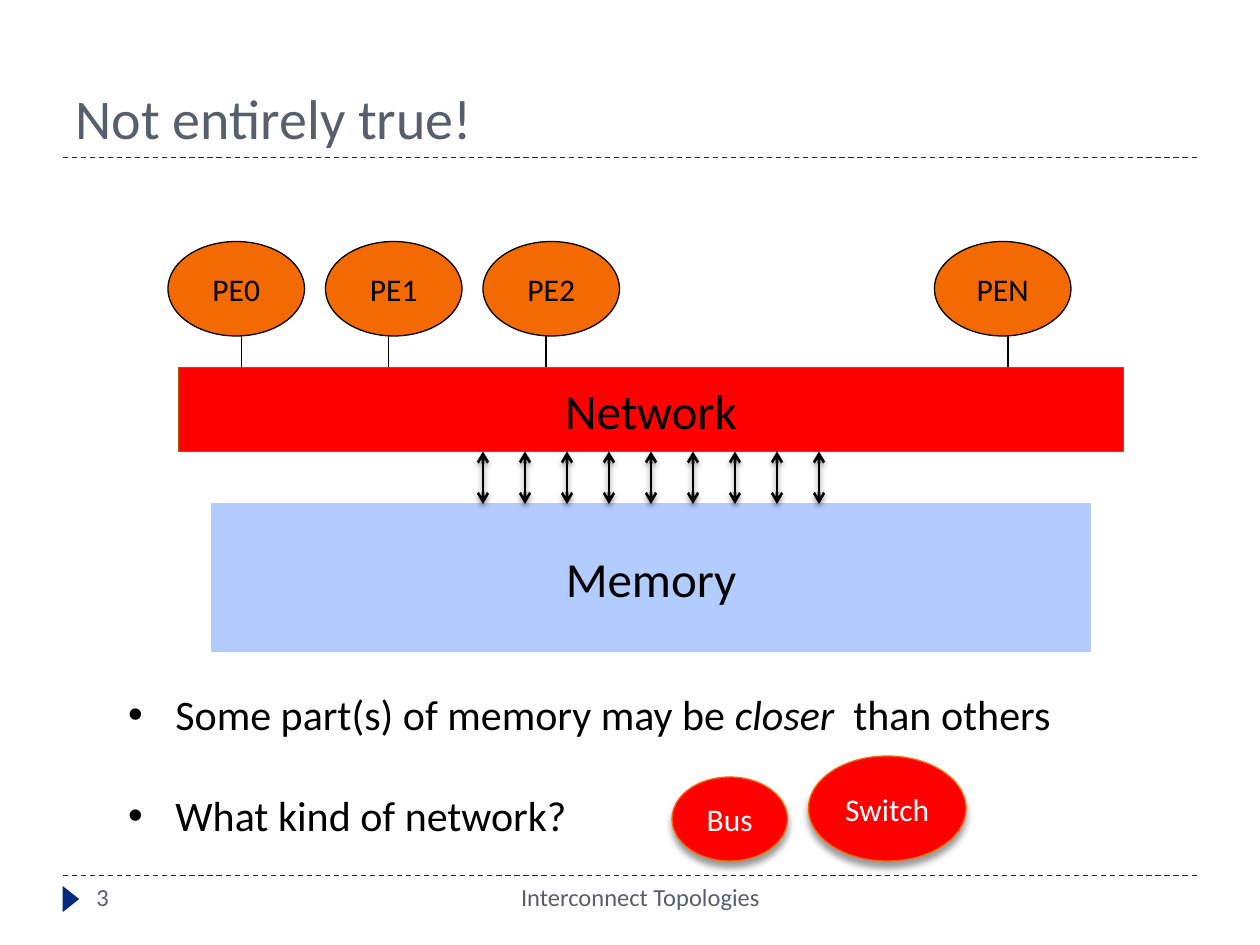
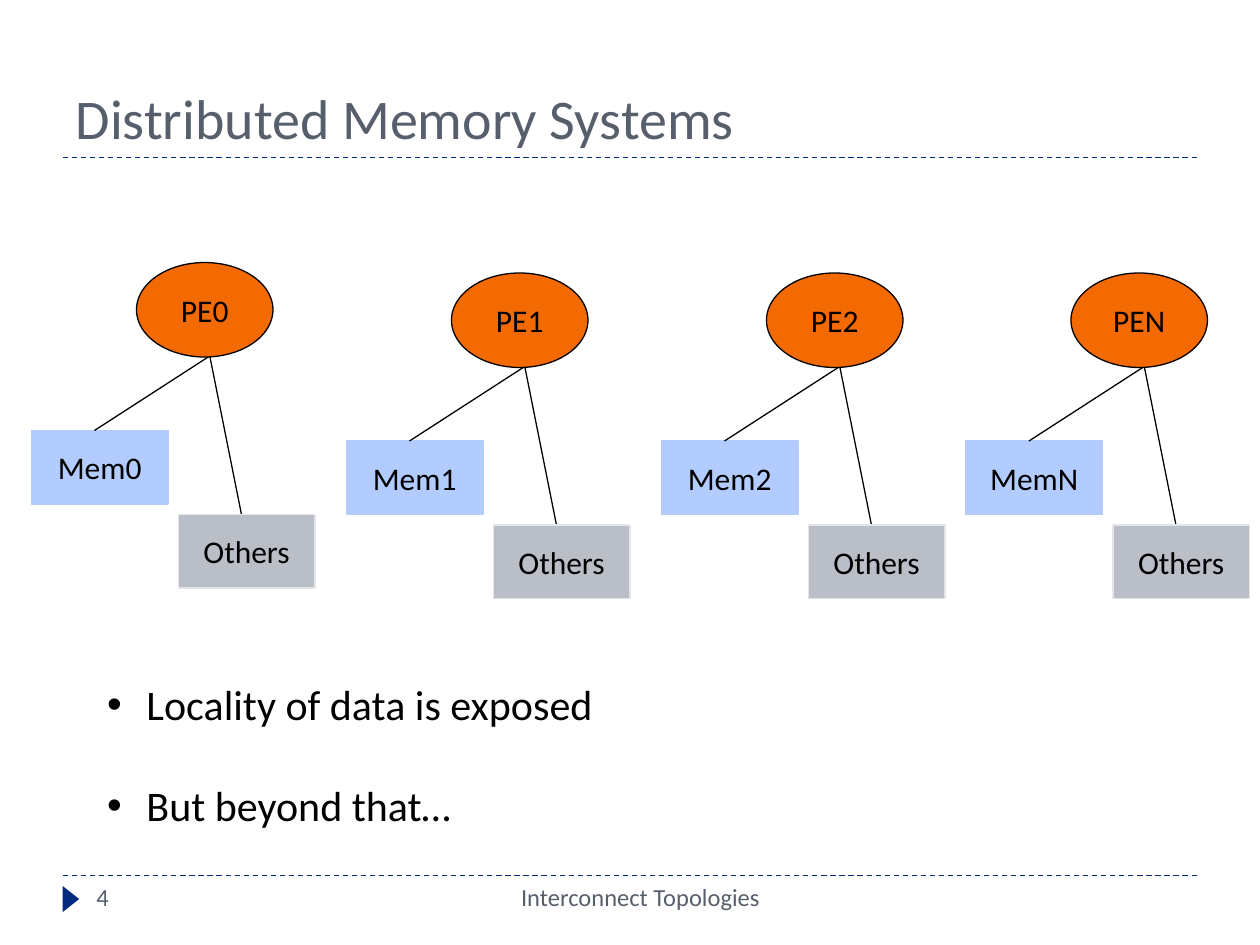
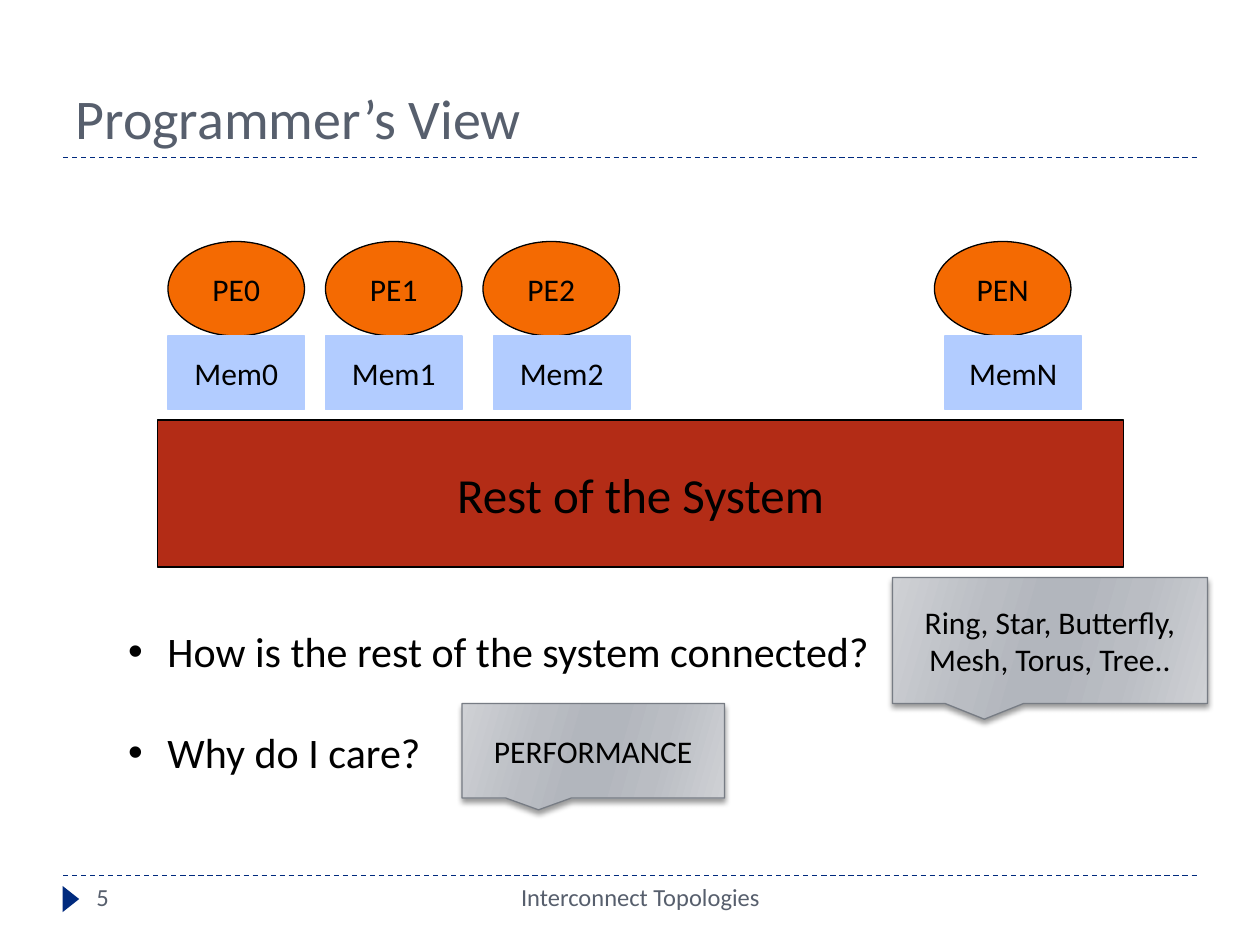
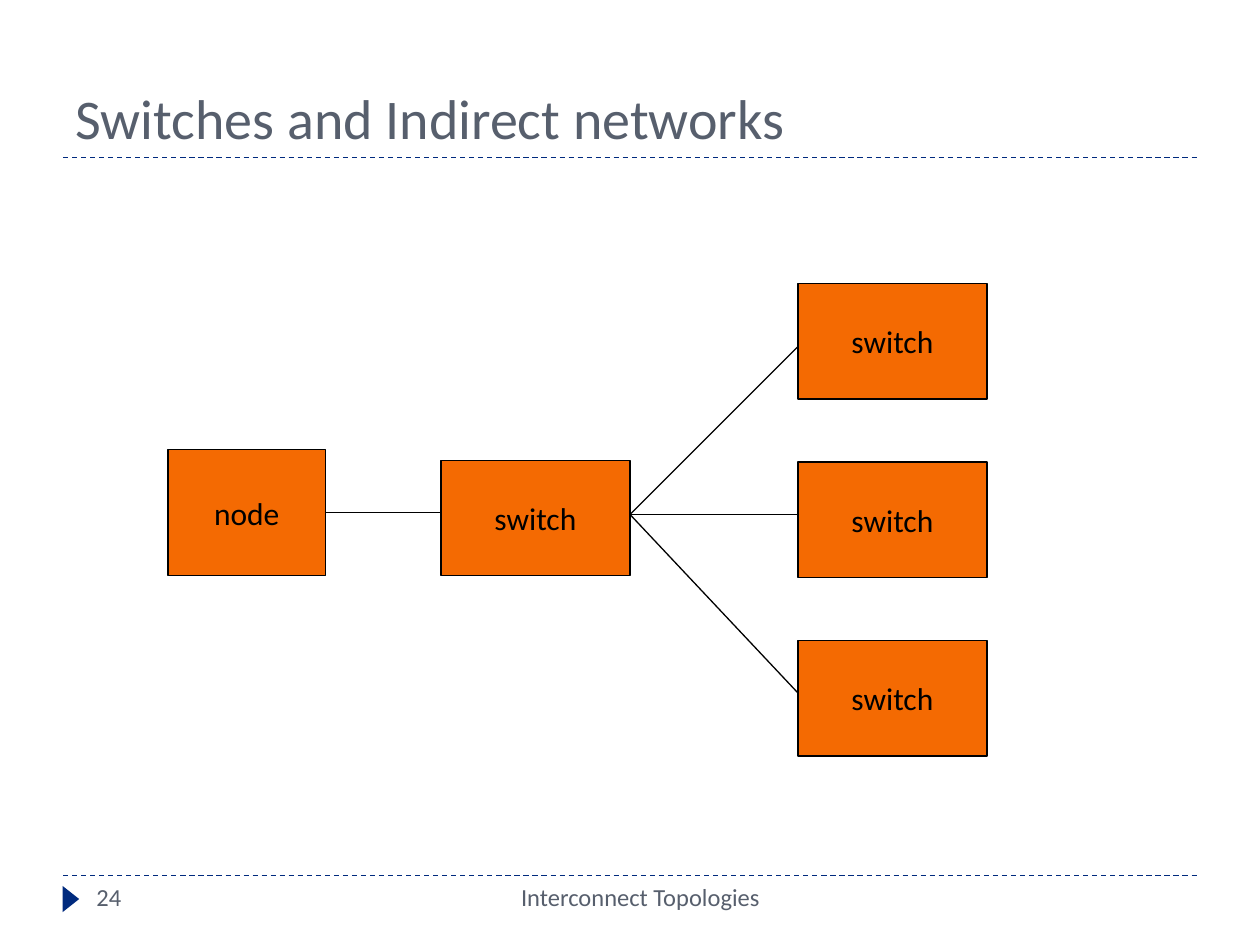
import pptx
import pptx.dml.color
import pptx.enum.dml
import pptx.enum.shapes
import pptx.enum.text
import pptx.oxml.ns
import pptx.util
from lxml import etree

Pt = pptx.util.Pt
qn = pptx.oxml.ns.qn
KIND = pptx.enum.shapes.MSO_SHAPE
ALIGN = pptx.enum.text.PP_ALIGN
ANCHOR = pptx.enum.text.MSO_ANCHOR

FONT = "Calibri"
COLORS = {
    "rule": "002A7E", "heading": "575F6D", "black": "000000",
    "white": "FFFFFF", "orange": "F46A02", "memory": "B2CCFF",
    "red": "FF0000", "network_edge": "B75001", "system": "B32C16",
    "others": "B9BEC7", "others_edge": "E4E5E6", "callout_edge": "777C84",
    "silver": "CFD1D5", "gray": "BABDC3", "steel": "B2B6BD",
}
CALLOUT_STOPS = [(0, "silver"), (30, "gray"), (45, "steel"),
                 (55, "steel"), (73, "gray"), (100, "silver")]
NAMES = ["0", "1", "2", "N"]
PE_LEFTS = [96, 186, 276, 534]
PE_TOP = 138


def rgb(name):
    return pptx.dml.color.RGBColor.from_string(COLORS[name])


def add_node(parent, tag, **attributes):
    return etree.SubElement(parent, qn(tag), attributes)


def add_shadow(effects, blur, distance):
    """Cast a soft black shadow straight down."""
    shadow = add_node(effects, "a:outerShdw", blurRad=str(Pt(blur)),
                      dist=str(Pt(distance)), dir="5400000", rotWithShape="0")
    color = add_node(shadow, "a:srgbClr", val=COLORS["black"])
    add_node(color, "a:alpha", val="40000")


class Lecture:
    """The deck, its style and the slide being filled."""

    def __init__(self):
        self.deck = pptx.Presentation()
        self.deck.slide_width, self.deck.slide_height = Pt(720), Pt(540)
        self.page = None

    # Slides and their shared parts
    def start(self, title, number, has_list=True):
        layout = self.deck.slide_layouts[1 if has_list else 5]
        is_first = self.page is None
        self.page = self.deck.slides.add_slide(layout)
        if is_first:
            self.decorate_master()
        box = self.page.shapes.title
        self.place(box, 36, 18, 648, 72)
        box.text_frame.text = title
        box.text_frame.vertical_anchor = ANCHOR.BOTTOM
        self.format(box.text_frame, 32, "heading", ALIGN.LEFT)
        self.text(48, 156, number, ALIGN.LEFT)
        self.text(228, 276, "Interconnect Topologies", ALIGN.CENTER)

    def decorate_master(self):
        """Draw the rules and the marker once and hand them to the master."""
        parts = [self.line(36, y, 684, y, "rule", dashed=True)
                 for y in (500.4, 90)]
        marker = self.shape(KIND.ISOSCELES_TRIANGLE, 33, 509, 15, 9.5, "rule")
        marker.rotation = 90
        for index, part in enumerate(parts + [marker]):
            part.element.xpath(".//p:cNvPr")[0].set("id", str(101 + index))
            self.deck.slide_master.shapes.element.append(part.element)

    # Text
    def place(self, box, left, top, width, height):
        box.left, box.top = Pt(left), Pt(top)
        box.width, box.height = Pt(width), Pt(height)
        box.text_frame.word_wrap = True
        box.text_frame.auto_size = pptx.enum.text.MSO_AUTO_SIZE.NONE

    def format(self, frame, size, color, align):
        for para in frame.paragraphs:
            para.alignment = align
            for span in para.runs:
                span.font.name = FONT
                span.font.size = Pt(size)
                span.font.color.rgb = rgb(color)

    def text(self, left, width, words, align):
        """Footer text."""
        box = self.page.shapes.add_textbox(Pt(left), Pt(500.4), Pt(width), Pt(29))
        box.text_frame.word_wrap = True
        box.text_frame.text = words
        self.format(box.text_frame, 14, "heading", align)

    def bullets(self, left, top, width, items, indent=22.5):
        """Each item is a list of spans; every second span is italic."""
        box = self.page.placeholders[1]
        self.place(box, left, top, width, 94)
        frame = box.text_frame
        for index, spans in enumerate(items):
            para = frame.paragraphs[0] if index == 0 else frame.add_paragraph()
            para.space_before = Pt(29 if index else 0)
            properties = para._p.get_or_add_pPr()
            properties.set("marL", str(Pt(indent)))
            properties.set("indent", str(-Pt(indent)))
            add_node(properties, "a:buFont", typeface="Arial")
            add_node(properties, "a:buChar", char="•")
            for position, words in enumerate(spans):
                span = para.add_run()
                span.text = words
                span.font.italic = position % 2 == 1
        self.format(frame, 24, "black", ALIGN.LEFT)

    # Shapes and lines
    def shape(self, kind, left, top, width, height, fill, edge=None, words="",
              size=18, color="black", wrap=False, shadow=None):
        shape = self.page.shapes.add_shape(
            kind, Pt(left), Pt(top), Pt(width), Pt(height))
        shape.shadow.inherit = False
        shape.fill.solid()
        shape.fill.fore_color.rgb = rgb(fill)
        if edge:
            shape.line.color.rgb = rgb(edge)
            shape.line.width = Pt(0.75)
        else:
            shape.line.fill.background()
        if shadow:
            add_shadow(shape.element.spPr.find(qn("a:effectLst")), *shadow)
        if words:
            frame = shape.text_frame
            frame.text = words
            frame.word_wrap = wrap
            frame.vertical_anchor = ANCHOR.MIDDLE
            self.format(frame, size, color, ALIGN.CENTER)
        return shape

    def line(self, x1, y1, x2, y2, color="black", dashed=False, arrows=False):
        line = self.page.shapes.add_connector(
            pptx.enum.shapes.MSO_CONNECTOR.STRAIGHT,
            Pt(x1), Pt(y1), Pt(x2), Pt(y2))
        line.line.color.rgb = rgb(color)
        line.line.width = Pt(1.5 if arrows else 0.75)
        if dashed:
            line.line.dash_style = pptx.enum.dml.MSO_LINE.DASH
        properties = line.element.spPr
        effects = add_node(properties, "a:effectLst")
        if arrows:
            for end in ("a:headEnd", "a:tailEnd"):
                add_node(properties.find(qn("a:ln")), end, type="arrow")
            add_shadow(effects, 3, 2)
        return line

    def processor(self, left, top, name):
        self.shape(KIND.OVAL, left, top, 78, 54, "orange", "black", "PE" + name)

    def processor_row(self):
        for left, name in zip(PE_LEFTS, NAMES):
            self.processor(left, PE_TOP, name)

    def memory(self, left, top, name):
        self.shape(KIND.RECTANGLE, left, top, 78, 42, "memory", "memory",
                   "Mem" + name)

    def switch(self, left, top):
        self.shape(KIND.RECTANGLE, left, top, 108, 66, "orange", "black", "switch")

    def oval(self, left, top, width, height, words):
        self.shape(KIND.OVAL, left, top, width, height, "red", "orange", words,
                   color="white", wrap=True, shadow=(4, 3.4))

    def callout(self, left, top, width, height, words):
        shape = self.shape(KIND.RECTANGULAR_CALLOUT, left, top, width, height,
                           "gray", "callout_edge", words, wrap=True,
                           shadow=(3, 2))
        shape.fill.gradient()
        shape.fill.gradient_angle = 344
        stops = shape.element.spPr.xpath(".//a:gsLst")[0]
        for stop in list(stops):
            stops.remove(stop)
        for percent, color in CALLOUT_STOPS:
            stop = add_node(stops, "a:gs", pos=str(percent * 1000))
            add_node(stop, "a:srgbClr", val=COLORS[color])


def shared_memory(lecture):
    lecture.start("Not entirely true!", "3")
    lecture.bullets(66, 390, 588, [
        ["Some part(s) of memory may be ", "closer ", " than others"],
        ["What kind of network?"]], indent=27)
    lecture.processor_row()
    for x in (138, 222, 312, 576):
        lecture.line(x, PE_TOP + 54, x, 234)
    lecture.shape(KIND.RECTANGLE, 121, 288, 502, 84, "memory", "memory",
                  "Memory", size=28)
    lecture.shape(KIND.RECTANGLE, 102, 210, 540, 48, "red", "network_edge",
                  "Network", size=28)
    for index in range(9):
        x = 276 + 24 * index
        lecture.line(x, 258, x, 288, arrows=True)
    lecture.oval(384, 444, 66, 48, "Bus")
    lecture.oval(462, 432, 90, 60, "Switch")


def distributed_memory(lecture):
    lecture.start("Distributed Memory Systems", "4")
    lecture.bullets(54, 384, 606, [["Locality of data is exposed"],
                                   ["But beyond that…"]])
    corners = [(78, 150), (258, 156), (438, 156), (612, 156)]
    for (left, top), name in zip(corners, NAMES):
        lecture.processor(left, top, name)
        lecture.memory(left - 60, top + 96, name)
        lecture.line(left + 41, top + 54, left - 24, top + 96)
        lecture.line(left + 42, top + 54, left + 60, top + 144)
        lecture.shape(KIND.RECTANGLE, left + 24, top + 144, 78, 42, "others",
                      "others_edge", "Others")


def programmers_view(lecture):
    lecture.start("Programmer’s View", "5")
    lecture.bullets(66, 354, 588, [
        ["How is the rest of the system connected?"], ["Why do I care?"]])
    lecture.processor_row()
    lecture.shape(KIND.RECTANGLE, 90, 240, 552, 84, "system", "black",
                  "Rest of the System", size=28)
    for left, name in zip((96, 186, 282, 540), NAMES):
        lecture.memory(left, PE_TOP + 54, name)
    lecture.callout(510, 330, 180, 72, "Ring, Star, Butterfly, Mesh, Torus, Tree..")
    lecture.callout(264, 402, 150, 54, "PERFORMANCE")


def indirect_networks(lecture):
    lecture.start("Switches and Indirect networks", "24", has_list=False)
    lecture.shape(KIND.RECTANGLE, 96, 257, 90, 72, "orange", "black", "node")
    lecture.line(186, 293, 270, 293)
    lecture.switch(252, 263)
    for top, line_end in zip((162, 264, 366), (198, 294, 396)):
        lecture.switch(456, top)
        lecture.line(360, 294, 456, line_end)


def main():
    lecture = Lecture()
    shared_memory(lecture)
    distributed_memory(lecture)
    programmers_view(lecture)
    indirect_networks(lecture)
    lecture.deck.save("out.pptx")


if __name__ == "__main__":
    main()
